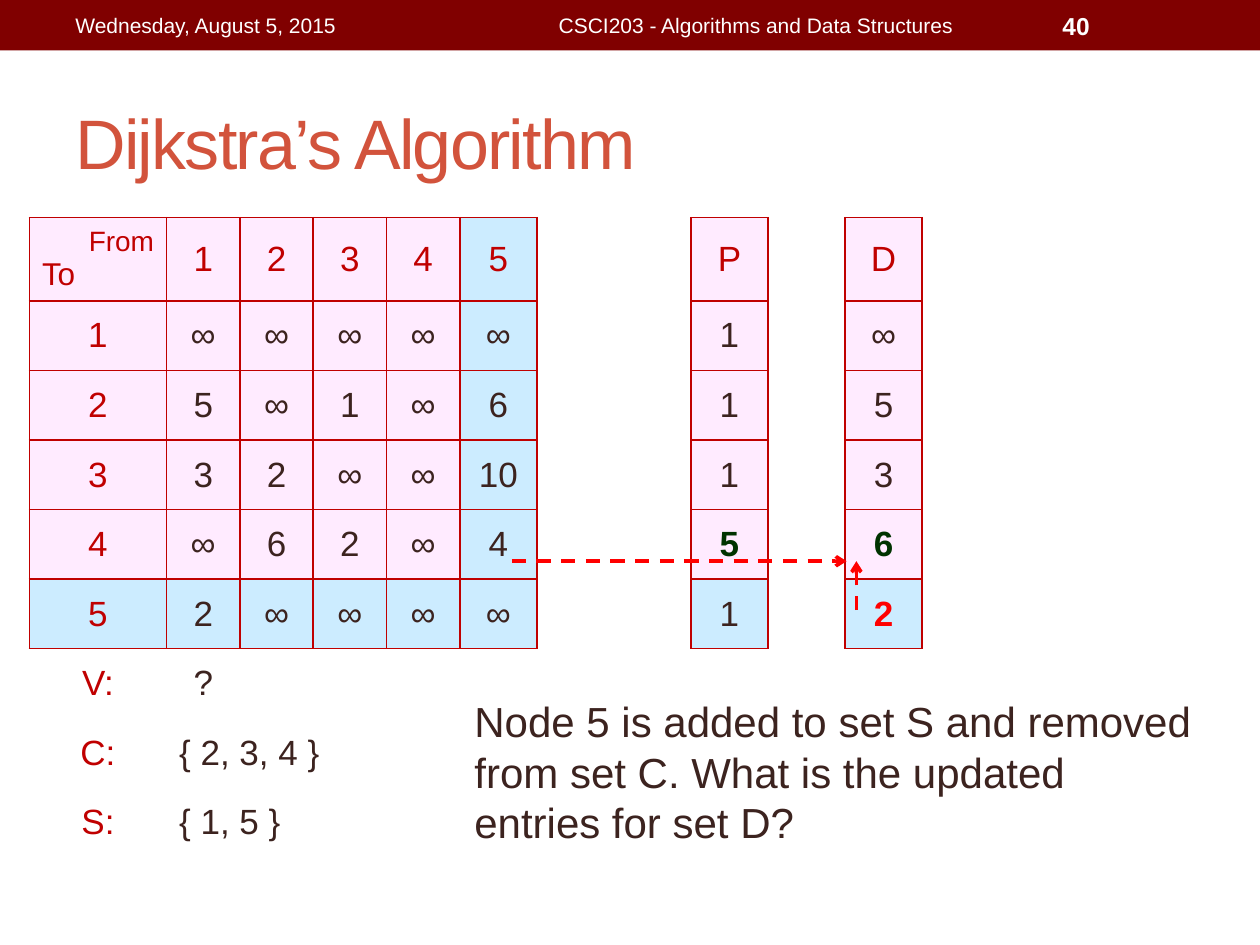
from dataclasses import dataclass

from lxml import etree
from pptx import Presentation
from pptx.dml.color import RGBColor
from pptx.enum import dml, shapes, text
from pptx.oxml import ns
from pptx.util import Pt

FONT = "Arial"
COLOURS = {
    "banner": "800000", "title": "D2533C", "white": "FFFFFF", "label": "C00000",
    "body": "3C231F", "updated": "003300", "alert": "FF0000",
    "cell": "FFEBFF", "current": "CCECFF",
}
LEFT, CENTRE, RIGHT = text.PP_ALIGN.LEFT, text.PP_ALIGN.CENTER, text.PP_ALIGN.RIGHT
TOP, MIDDLE = text.MSO_ANCHOR.TOP, text.MSO_ANCHOR.MIDDLE
NO_STYLE = "{2D5ABB26-0587-4C30-8999-92F81FD0307C}"

TABLE_LEFT, TABLE_TOP = 16.8, 124.3
COLUMN_WIDTHS = [78.4] + [41.9] * 4 + [44.05] * 6
ROW_HEIGHTS = [47.7] + [39.75] * 8
P_COLUMN, D_COLUMN = 8, 10
GRID_COLUMNS = [*range(6), P_COLUMN, D_COLUMN]
CURRENT = 5  # node being added: its row and its "From" column
GRID = [
    ["From\nTo", "1", "2", "3", "4", "5", "P", "D"],
    ["1", "∞", "∞", "∞", "∞", "∞", "1", "∞"],
    ["2", "5", "∞", "1", "∞", "6", "1", "5"],
    ["3", "3", "2", "∞", "∞", "10", "1", "3"],
    ["4", "∞", "6", "2", "∞", "4", "5", "6"],
    ["5", "2", "∞", "∞", "∞", "∞", "1", "2"],
]
EMPHASIS = {(4, P_COLUMN): "updated", (4, D_COLUMN): "updated", (5, D_COLUMN): "alert"}
SETS = [("V:", "?"), ("C:", "{ 2, 3, 4 }"), ("S:", "{ 1, 5 }")]


@dataclass
class Label:
    words: str
    left: float
    top: float
    width: float
    height: float
    size: float
    colour: str = "white"
    align: text.PP_ALIGN = LEFT
    anchor: text.MSO_ANCHOR = MIDDLE
    bold: bool = False
    spacing: int = 0  # hundredths of a point


@dataclass
class Arrow:
    start: tuple[float, float]
    end: tuple[float, float]


LABELS = [
    Label("Dijkstra’s Algorithm", 36, 42, 648, 78, 40, "title", spacing=-100),
    Label("Wednesday, August 5, 2015", 36, 1.5, 228, 26, 12),
    Label("CSCI203 - Algorithms and Data Structures", 270, 1.5, 324, 26, 12, align=CENTRE),
    Label("40", 600, 1.5, 84, 26, 14, bold=True),
    Label("Node 5 is added to set S and removed from set C. "
          "What is the updated entries for set D?",
          264, 394, 428, 94, 24, "body", anchor=TOP),
]
ARROWS = [
    Arrow((489.4, 348.6), (489.4, 320.7)),
    Arrow((292.5, 320.7), (483.8, 320.7)),
]


def rgb(name: str) -> RGBColor:
    return RGBColor.from_string(COLOURS[name])


def format_paragraph(para, size: float, colour: str, align=LEFT, bold=False, spacing=0) -> None:
    para.alignment = align
    for span in para.runs:
        span.font.name = FONT
        span.font.size = Pt(size)
        span.font.bold = bold
        span.font.color.rgb = rgb(colour)
        if spacing:
            span.font._element.set("spc", str(spacing))


def add_label(page, label: Label) -> None:
    box = page.shapes.add_textbox(
        Pt(label.left), Pt(label.top), Pt(label.width), Pt(label.height))
    frame = box.text_frame
    frame.word_wrap = True
    frame.vertical_anchor = label.anchor
    frame.text = label.words
    format_paragraph(frame.paragraphs[0], label.size, label.colour,
                     label.align, label.bold, label.spacing)


def add_banner(page, width) -> None:
    banner = page.shapes.add_shape(shapes.MSO_SHAPE.RECTANGLE, 0, 0, width, Pt(28.8))
    banner.shadow.inherit = False
    banner.fill.solid()
    banner.fill.fore_color.rgb = rgb("banner")
    banner.line.fill.background()


def add_arrow(page, arrow: Arrow) -> None:
    line = page.shapes.add_connector(
        shapes.MSO_CONNECTOR.STRAIGHT, *map(Pt, arrow.start + arrow.end))
    line.line.color.rgb = rgb("alert")
    line.line.width = Pt(2)
    line.line.dash_style = dml.MSO_LINE.DASH
    etree.SubElement(line.line._get_or_add_ln(), ns.qn("a:tailEnd"), type="arrow")
    etree.SubElement(line._element.spPr, ns.qn("a:effectLst"))


def add_borders(cell) -> None:
    """Outline a cell; the borders must precede its fill in the XML."""
    properties = cell._tc.get_or_add_tcPr()
    for index, side in enumerate(("lnL", "lnR", "lnT", "lnB")):
        border = etree.Element(ns.qn(f"a:{side}"), w=str(Pt(1)))
        fill = etree.SubElement(border, ns.qn("a:solidFill"))
        etree.SubElement(fill, ns.qn("a:srgbClr"), val=COLOURS["label"])
        properties.insert(index, border)


def write_cell(cell, words: str, colour: str, align=CENTRE, bold=False) -> None:
    cell.text_frame.text = words
    cell.vertical_anchor = MIDDLE
    for para in cell.text_frame.paragraphs:
        format_paragraph(para, 20, colour, align, bold)


def fill_grid(table) -> None:
    for row, values in enumerate(GRID):
        for column, value in zip(GRID_COLUMNS, values):
            cell = table.cell(row, column)
            emphasis = EMPHASIS.get((row, column))
            plain = "label" if row == 0 or column == 0 else "body"
            write_cell(cell, value, emphasis or plain, bold=emphasis is not None)
            cell.fill.solid()
            cell.fill.fore_color.rgb = rgb("current" if CURRENT in (row, column) else "cell")
            add_borders(cell)
    source, target = table.cell(0, 0).text_frame.paragraphs
    format_paragraph(source, 16, "label", RIGHT)
    format_paragraph(target, 18, "label")


def fill_sets(table) -> None:
    for row, (name, members) in enumerate(SETS, start=len(GRID)):
        write_cell(table.cell(row, 0), name, "label")
        cell = table.cell(row, 1)
        unknown = members == "?"
        if not unknown:
            cell.merge(table.cell(row, D_COLUMN))
        write_cell(cell, members, "body", CENTRE if unknown else LEFT)


def add_distance_table(page) -> None:
    frame = page.shapes.add_table(
        len(ROW_HEIGHTS), len(COLUMN_WIDTHS), Pt(TABLE_LEFT), Pt(TABLE_TOP),
        Pt(sum(COLUMN_WIDTHS)), Pt(sum(ROW_HEIGHTS)))
    table = frame.table
    table.first_row = table.horz_banding = False
    table._tbl.tblPr.find(ns.qn("a:tableStyleId")).text = NO_STYLE
    for column, width in zip(table.columns, COLUMN_WIDTHS):
        column.width = Pt(width)
    for row, height in zip(table.rows, ROW_HEIGHTS):
        row.height = Pt(height)
    for cell in table.iter_cells():
        cell.fill.background()
    fill_grid(table)
    fill_sets(table)


def main() -> None:
    deck = Presentation()
    deck.slide_width, deck.slide_height = Pt(720), Pt(540)
    page = deck.slides.add_slide(deck.slide_layouts[6])
    add_banner(page, deck.slide_width)
    add_distance_table(page)
    for label in LABELS:
        add_label(page, label)
    for arrow in ARROWS:
        add_arrow(page, arrow)
    deck.save("out.pptx")


if __name__ == "__main__":
    main()
